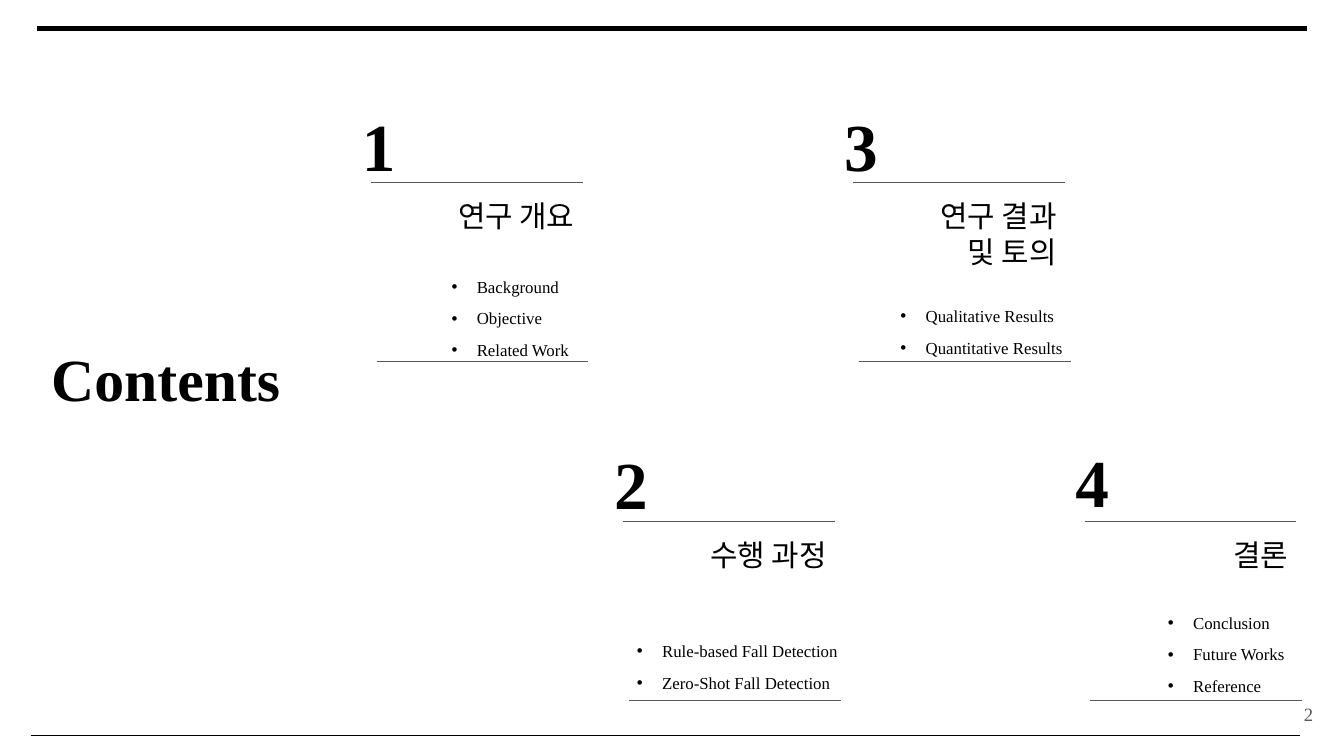
from lxml import etree
from pptx import Presentation
from pptx.dml import color
from pptx.enum import shapes, text
from pptx.oxml import ns
from pptx.util import Pt

SERIF = "Times New Roman"
BLACK = "000000"
GREY = "595959"
LEFT, RIGHT = text.PP_ALIGN.LEFT, text.PP_ALIGN.RIGHT
TOP, MIDDLE = text.MSO_ANCHOR.TOP, text.MSO_ANCHOR.MIDDLE
INSET = 7.2
RULE_WIDTH = 113.4

SECTIONS = [
    ("1", "연구 개요", ["Background", "Objective", "Related Work"],
     (198.8, 97.9), 45.4, 97, (234.7, 135.4, 79.2, 51)),
    ("2", "수행 과정", ["Rule-based Fall Detection", "Zero-Shot Fall Detection"],
     (334, 279.4), 226.8, 116, (334, 330.5, 125.5, 45.4)),
    ("3", "연구 결과 및 토의", ["Qualitative Results", "Quantitative Results"],
     (457.2, 97.9), 45.4, 88, (475.2, 151.2, 103.2, 41)),
    ("4", "결론", ["Conclusion", "Future Works", "Reference"],
     (581, 279.4), 225.4, 71, (618.5, 315.4, 81.4, 60.5)),
]


def rgb(value):
    return color.RGBColor.from_string(value)


def add_xml(parent, tag, **attributes):
    return etree.SubElement(parent, ns.qn(tag), attributes)


def place(shape, box):
    shape.left, shape.top, shape.width, shape.height = map(Pt, box)


def prepare_frame(frame, anchor=TOP, top_inset=INSET):
    frame.word_wrap = True
    frame.auto_size = text.MSO_AUTO_SIZE.NONE
    frame.vertical_anchor = anchor
    frame.margin_left = frame.margin_right = frame.margin_bottom = Pt(INSET)
    frame.margin_top = Pt(top_inset)


def style(paragraph, size, name=SERIF, ink=BLACK, bold=False, align=LEFT):
    paragraph.alignment = align
    font = paragraph.font
    font.size = Pt(size)
    font.name = name
    font.bold = bold
    font.color.rgb = rgb(ink)


def add_label(slide, box, wording, anchor=TOP, top_inset=INSET, **look):
    label = slide.shapes.add_textbox(*map(Pt, box))
    prepare_frame(label.text_frame, anchor, top_inset)
    paragraph = label.text_frame.paragraphs[0]
    paragraph.text = wording
    style(paragraph, **look)
    return paragraph


def outline_text(paragraph):
    properties = paragraph.runs[0]._r.get_or_add_rPr()
    outline = add_xml(properties, "a:ln", w=str(Pt(0.5)))
    add_xml(add_xml(outline, "a:solidFill"), "a:srgbClr", val=BLACK)


def add_rule(slide, x, y, width, weight=0.75, ink=GREY):
    rule = slide.shapes.add_connector(
        shapes.MSO_CONNECTOR.STRAIGHT, Pt(x), Pt(y), Pt(x + width), Pt(y))
    rule.line.color.rgb = rgb(ink)
    rule.line.width = Pt(weight)
    add_xml(rule._element.spPr, "a:effectLst")


def set_bullet(paragraph):
    properties = paragraph._p.get_or_add_pPr()
    properties.set("marL", str(Pt(13.5)))
    properties.set("indent", str(Pt(-13.5)))
    add_xml(add_xml(properties, "a:buClr"), "a:srgbClr", val=BLACK)
    add_xml(properties, "a:buFont", typeface="Arial")
    add_xml(properties, "a:buChar", char="•")


def fill_topics(topics, box, entries):
    place(topics, box)
    frame = topics.text_frame
    prepare_frame(frame)
    frame.text = "\n".join(entries)
    for paragraph in frame.paragraphs:
        paragraph.line_spacing = 1.5
        paragraph.space_before = Pt(0)
        paragraph.space_after = Pt(0.8)
        set_bullet(paragraph)
        style(paragraph, 9)


def set_title(title, wording):
    place(title, (20.2, 172, 163.4, 60.5))
    prepare_frame(title.text_frame, top_inset=11)
    title.text_frame.text = wording
    style(title.text_frame.paragraphs[0], 32, bold=True)


def add_section(slide, topics, section):
    number, heading, entries, (x, y), number_top, heading_width, topics_box = section
    add_label(slide, (x - 12, number_top, 55.4, 53), number,
              top_inset=10.4, size=36, bold=True)
    add_rule(slide, x, y, RULE_WIDTH)
    heading_box = (x + 116 - heading_width, y + 1, heading_width, 40.3)
    outline_text(add_label(slide, heading_box, heading,
                           size=16, name="Arial", align=RIGHT))
    fill_topics(topics, topics_box, entries)
    add_rule(slide, x + 3, y + 95.8, RULE_WIDTH)


def main():
    deck = Presentation()
    deck.slide_width, deck.slide_height = Pt(720), Pt(405)
    slide = deck.slides.add_slide(deck.slide_layouts.get_by_name("Comparison"))
    title, *topic_lists = slide.placeholders
    set_title(title, "Contents")
    add_rule(slide, 20, 15.2, 680, weight=3, ink=BLACK)
    add_rule(slide, 16.4, 394, 680, ink=BLACK)
    for topics, section in zip(topic_lists, SECTIONS):
        add_section(slide, topics, section)
    add_label(slide, (667.4, 367.2, 43.2, 31), "2", anchor=MIDDLE,
              size=10, ink=GREY, align=RIGHT)
    deck.save("out.pptx")


if __name__ == "__main__":
    main()
